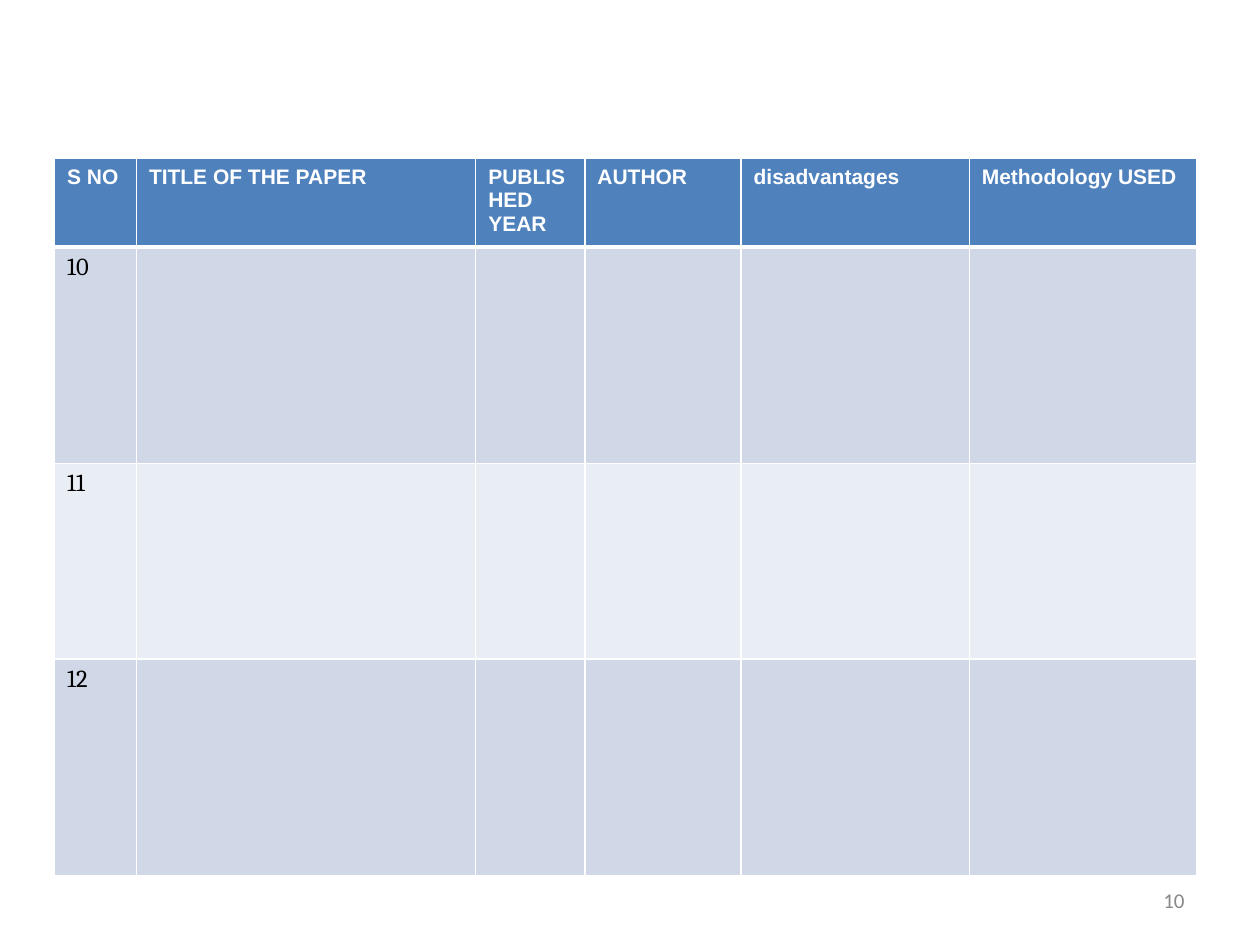
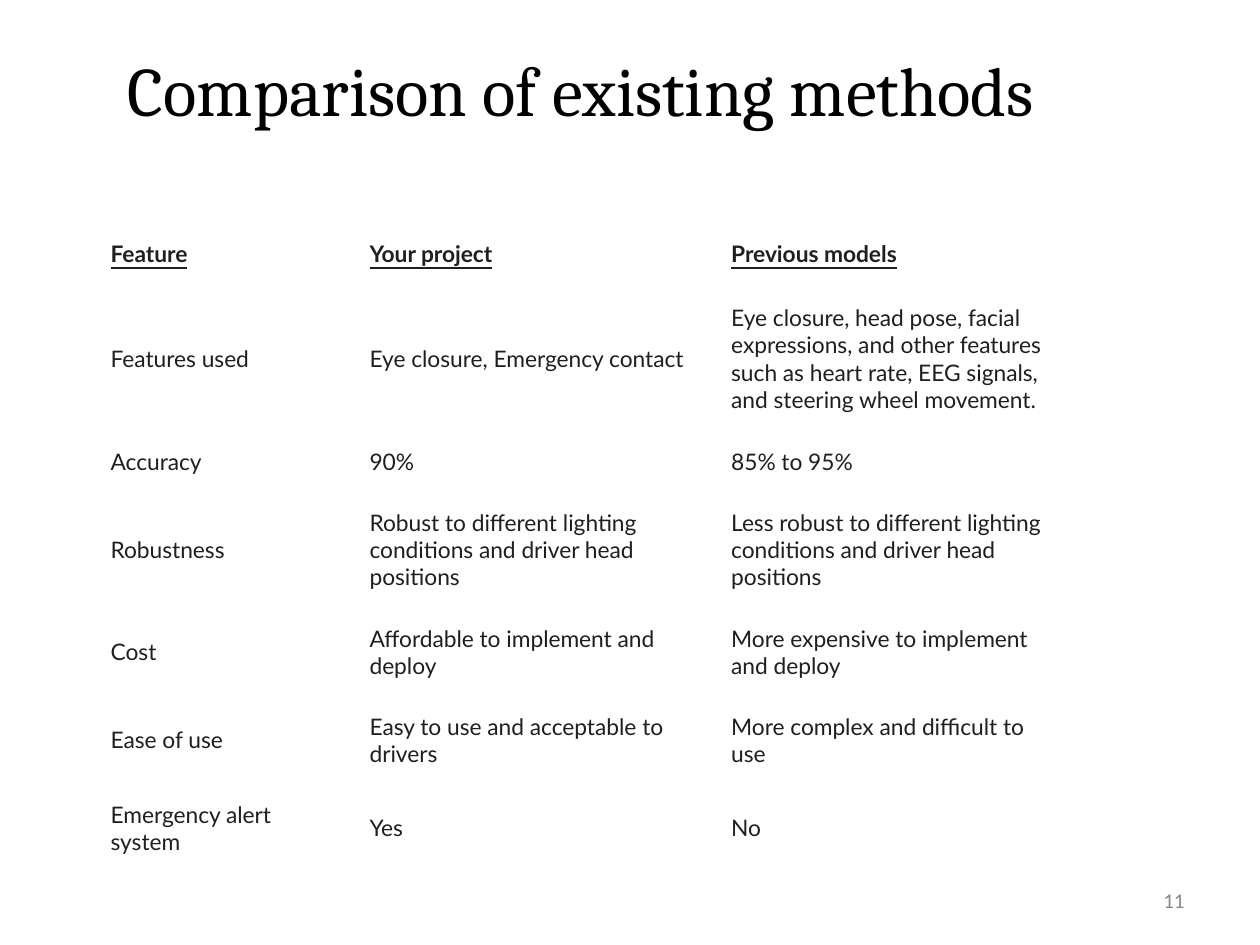
from lxml import etree
from pptx import Presentation
from pptx.dml.color import RGBColor
from pptx.enum.text import MSO_ANCHOR, PP_ALIGN
from pptx.oxml.ns import qn
from pptx.util import Cm, Pt

# Colours
WHITE = RGBColor(0xFF, 0xFF, 0xFF)
BLACK = RGBColor(0, 0, 0)
GREY = RGBColor(0x88, 0x88, 0x88)
INK = RGBColor(0x1F, 0x1F, 0x1F)
HEADER_BLUE = RGBColor(0x4F, 0x81, 0xBD)
BANDS = [RGBColor(0xD0, 0xD8, 0xE8), RGBColor(0xE9, 0xED, 0xF4)]

# Content
PAPER_HEADINGS = ["S NO", "TITLE OF THE PAPER", "PUBLISHED YEAR", "AUTHOR",
                  "disadvantages", "Methodology USED"]
PAPER_NUMBERS = ["10", "11", "12"]
PAPERS = [PAPER_HEADINGS] + [[number] + [""] * (len(PAPER_HEADINGS) - 1)
                             for number in PAPER_NUMBERS]

COMPARISON_TITLE = "Comparison of existing methods"
COMPARISON = [
    ("Feature", "Your project", "Previous models"),
    ("Features used", "Eye closure, Emergency contact",
     "Eye closure, head pose, facial expressions, and other features such as "
     "heart rate, EEG signals, and steering wheel movement."),
    ("Accuracy", "90%", "85% to 95%"),
    ("Robustness",
     "Robust to different lighting conditions and driver head positions",
     "Less robust to different lighting conditions and driver head positions"),
    ("Cost", "Affordable to implement and deploy",
     "More expensive to implement and deploy"),
    ("Ease of use", "Easy to use and acceptable to drivers",
     "More complex and difficult to use"),
    ("Emergency alert system", "Yes", "No"),
]

# Column widths and row heights, in cm
PAPER_COLS = [1.65, 6.84, 2.2, 3.15, 4.6, 4.58]
PAPER_ROWS = [1.65, 4.36, 3.95, 4.36]
COMPARISON_COLS = [5.22, 7.29, 7.29]
COMPARISON_ROWS = [1.32, 2.92, 1.22, 2.34, 1.78, 1.78, 1.22]


# Shared helpers
def style_run(run, font, size, color, bold=False, underline=False):
    run.font.name = font
    run.font.size = Pt(size)
    run.font.color.rgb = color
    run.font.bold = bold
    run.font.underline = underline


def add_page_number(slide, number):
    box = slide.shapes.add_textbox(Cm(18.2), Cm(17.65), Cm(5.93), Cm(1.01))
    frame = box.text_frame
    frame.word_wrap = True
    frame.vertical_anchor = MSO_ANCHOR.MIDDLE
    paragraph = frame.paragraphs[0]
    paragraph.alignment = PP_ALIGN.RIGHT
    run = paragraph.add_run()
    run.text = str(number)
    style_run(run, "Calibri", 12, GREY)


def add_grid(slide, left, top, cols, rows):
    table = slide.shapes.add_table(len(rows), len(cols), Cm(left), Cm(top),
                                   Cm(sum(cols)), Cm(sum(rows))).table
    for column, width in zip(table.columns, cols):
        column.width = Cm(width)
    for row, height in zip(table.rows, rows):
        row.height = Cm(height)
    return table


def write_cell(cell, text, *style):
    if text:
        run = cell.text_frame.paragraphs[0].add_run()
        run.text = text
        style_run(run, *style)


def set_borders(cell, top, bottom):
    properties = cell._tc.get_or_add_tcPr()
    for side, width in (("L", 1), ("R", 1), ("T", top), ("B", bottom)):
        line = etree.SubElement(properties, qn("a:ln" + side), w=str(Pt(width)))
        fill = etree.SubElement(line, qn("a:solidFill"))
        etree.SubElement(fill, qn("a:srgbClr"), val=str(WHITE))


prs = Presentation()
prs.slide_width, prs.slide_height = Cm(25.4), Cm(19.05)
TITLE_ONLY, BLANK = prs.slide_layouts[5], prs.slide_layouts[6]

# Slide 1: list of papers
slide = prs.slides.add_slide(BLANK)
add_page_number(slide, 10)
table = add_grid(slide, 1.1, 3.2, PAPER_COLS, PAPER_ROWS)
for r, row in enumerate(PAPERS):
    for c, text in enumerate(row):
        cell = table.cell(r, c)
        # The rule under the header is thicker than the others
        set_borders(cell, 3 if r == 1 else 1, 3 if r == 0 else 1)
        cell.fill.solid()
        if r == 0:
            cell.fill.fore_color.rgb = HEADER_BLUE
            write_cell(cell, text, "Arial", 12, WHITE, True)
        else:
            cell.fill.fore_color.rgb = BANDS[(r - 1) % 2]
            write_cell(cell, text, "Cambria", 14, BLACK)

# Slide 2: comparison
slide = prs.slides.add_slide(TITLE_ONLY)
title = slide.shapes.title
title.left, title.top, title.width, title.height = (
    Cm(0.28), Cm(0.2), Cm(22.86), Cm(3.18))
title.text_frame.text = COMPARISON_TITLE
title.text_frame.vertical_anchor = MSO_ANCHOR.MIDDLE
title.text_frame.paragraphs[0].alignment = PP_ALIGN.CENTER
style_run(title.text_frame.paragraphs[0].runs[0], "Cambria", 39.6, BLACK)
add_page_number(slide, 11)

table = add_grid(slide, 1.9, 4.45, COMPARISON_COLS, COMPARISON_ROWS)
table.first_row = table.horz_banding = False
for r, row in enumerate(COMPARISON):
    heading = r == 0
    for c, text in enumerate(row):
        cell = table.cell(r, c)
        cell.fill.background()
        cell.vertical_anchor = MSO_ANCHOR.MIDDLE
        cell.margin_left = cell.margin_right = Cm(0.33)
        cell.margin_top = cell.margin_bottom = Cm(0.38 if heading else 0.33)
        write_cell(cell, text, "Lato", 13, INK, heading, heading)

prs.save("out.pptx")
